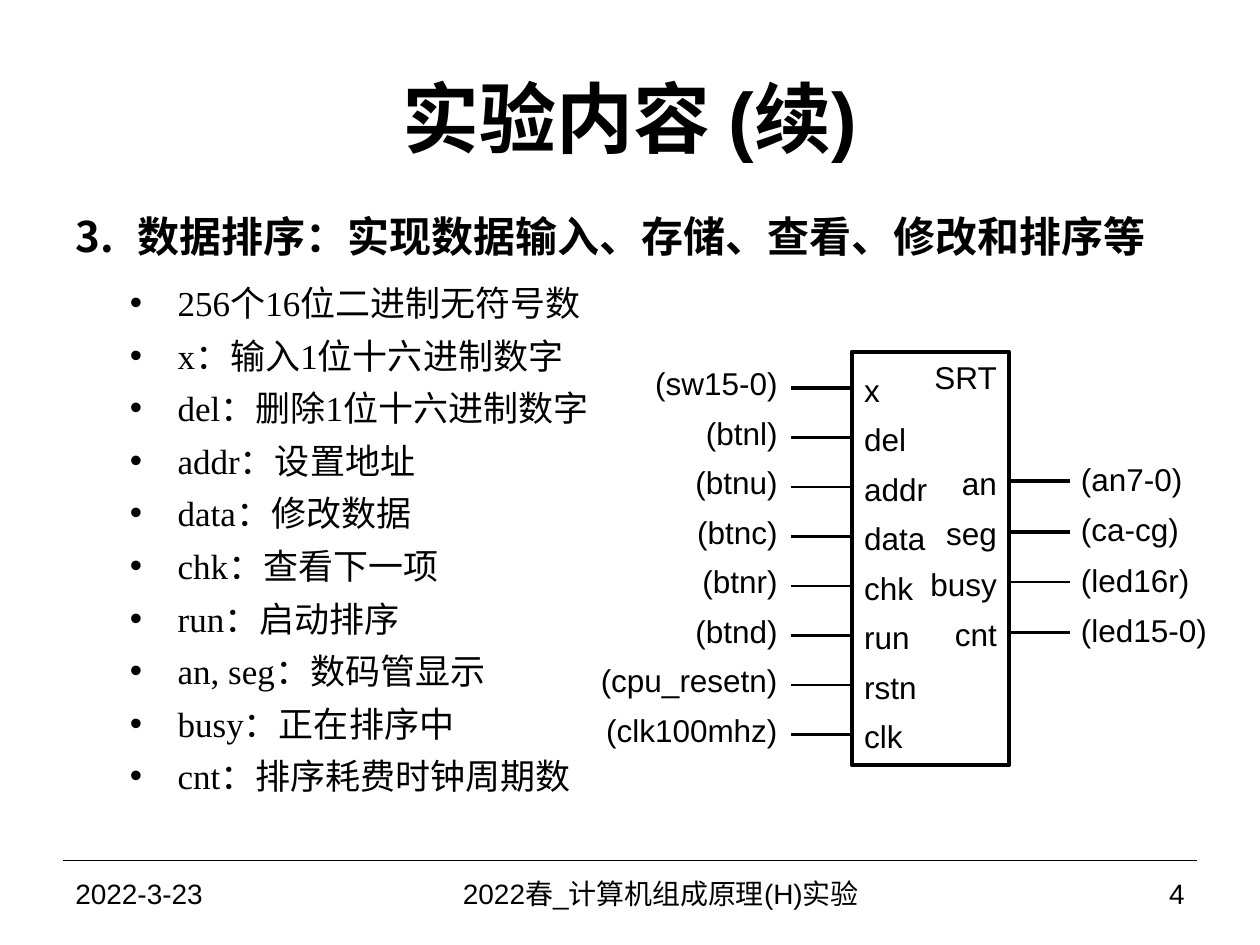
"""Slide on data sorting: a port list beside the SRT block diagram, on a 100 by 75 grid."""
from dataclasses import dataclass

from lxml import etree
from pptx import Presentation
from pptx import util as u
from pptx.dml.color import RGBColor
from pptx.enum import shapes, text
from pptx.oxml.ns import qn

COLS, ROWS = 100, 75
WIDTH, HEIGHT = u.Inches(10), u.Inches(7.5)
BLACK = "000000"
LEFT, CENTER, RIGHT = text.PP_ALIGN.LEFT, text.PP_ALIGN.CENTER, text.PP_ALIGN.RIGHT
MIDDLE, TOP = text.MSO_ANCHOR.MIDDLE, text.MSO_ANCHOR.TOP
BLOCK_LEFT, BLOCK_TOP, BLOCK_W, BLOCK_H = 67.6, 27.9, 12.5, 32.8
BLOCK_RIGHT = BLOCK_LEFT + BLOCK_W
WIRE = 4.8


@dataclass
class Pin:
    name: str
    signal: str
    name_cols: float
    signal_cols: float
    weight: float = 1.5


INPUTS = [
    Pin("x", "(sw15-0)", 3.3, 12.7, 2.25),
    Pin("del", "(btnl)", 5.4, 8.9),
    Pin("addr", "(btnu)", 7.1, 8.9),
    Pin("data", "(btnc)", 6.9, 9.1),
    Pin("chk", "(btnr)", 5.9, 9.1),
    Pin("run", "(btnd)", 5.7, 9.1),
    Pin("rstn", "(cpu_resetn)", 6.2, 17),
    Pin("clk", "(clk100mhz)", 5.1, 17),
]
OUTPUTS = [
    Pin("an", "(an7-0)", 4.8, 10.2, 2.25),
    Pin("seg", "(ca-cg)", 6.1, 9.9, 2.25),
    Pin("busy", "(led16r)", 7.3, 12),
    Pin("cnt", "(led15-0)", 5.4, 12),
]
HEADING = "数据排序：实现数据输入、存储、查看、修改和排序等"
ITEMS = [
    "256个16位二进制无符号数",
    "x：输入1位十六进制数字",
    "del：删除1位十六进制数字",
    "addr：设置地址",
    "data：修改数据",
    "chk：查看下一项",
    "run：启动排序",
    "an, seg：数码管显示",
    "busy：正在排序中",
    "cnt：排序耗费时钟周期数",
]


def rgb(value: str) -> RGBColor:
    return RGBColor.from_string(value)


def col(n: float) -> int:
    return round(WIDTH * n / COLS)


def row(n: float) -> int:
    return round(HEIGHT * n / ROWS)


def box(left: float, top: float, width: float, height: float) -> tuple:
    return col(left), row(top), col(width), row(height)


def place(sp, *cells: float) -> None:
    sp.left, sp.top, sp.width, sp.height = box(*cells)


def style(p, size: float, font: str = "Arial", bold: bool = False, align=LEFT) -> None:
    p.alignment = align
    for r in p.runs:
        r.font.size, r.font.name, r.font.bold = u.Pt(size), font, bold
        r.font.color.rgb = rgb(BLACK)


def label(s, words: str, cells: tuple, align=LEFT, size: float = 18,
          anchor=TOP, wrap: bool = True, spacing: float = 0) -> None:
    tf = s.shapes.add_textbox(*box(*cells)).text_frame
    tf.text = words
    tf.word_wrap, tf.vertical_anchor = wrap, anchor
    p = tf.paragraphs[0]
    style(p, size, align=align)
    if spacing:
        p.line_spacing = u.Pt(spacing)


def line(s, x1: float, x2: float, y: float, weight: float) -> None:
    c = s.shapes.add_connector(shapes.MSO_CONNECTOR.STRAIGHT, col(x1), row(y), col(x2), row(y))
    c.line.color.rgb = rgb(BLACK)
    c.line.width = u.Pt(weight)
    etree.SubElement(c._element.spPr, qn("a:effectLst"))


def bullet(p, tag: str, indent: float, hanging: float, **attrs: str) -> None:
    ppr = p._p.get_or_add_pPr()
    ppr.set("marL", str(col(indent)))
    ppr.set("indent", str(-col(hanging)))
    etree.SubElement(ppr, qn(tag), attrs)


def draw_input(s, pin: Pin, y: float) -> None:
    line(s, BLOCK_LEFT - WIRE, BLOCK_LEFT, y, pin.weight)
    label(s, pin.name, (BLOCK_LEFT, y - 2.9, pin.name_cols, 4.6), wrap=False, spacing=29)
    label(s, pin.signal, (62.7 - pin.signal_cols, y - 2.4, pin.signal_cols, 5), RIGHT)


def draw_output(s, pin: Pin, y: float) -> None:
    line(s, BLOCK_RIGHT, BLOCK_RIGHT + WIRE, y, pin.weight)
    label(s, pin.name, (BLOCK_RIGHT - pin.name_cols, y - 2.9, pin.name_cols, 4.6),
          RIGHT, wrap=False, spacing=29)
    label(s, pin.signal, (84.8, y - 2.2, pin.signal_cols, 5))


def draw_block(s) -> None:
    sp = s.shapes.add_shape(shapes.MSO_SHAPE.RECTANGLE,
                            *box(BLOCK_LEFT, BLOCK_TOP, BLOCK_W, BLOCK_H))
    sp.shadow.inherit = False
    sp.fill.background()
    sp.line.color.rgb = rgb(BLACK)
    sp.line.width = u.Pt(2.25)
    tf = sp.text_frame
    tf.text = "SRT"
    tf.word_wrap, tf.vertical_anchor = False, TOP
    style(tf.paragraphs[0], 18, align=RIGHT)
    for i, pin in enumerate(INPUTS):
        draw_input(s, pin, 30.8 + 3.93 * i)
    for i, pin in enumerate(OUTPUTS):
        draw_output(s, pin, 38.2 + 4 * i)


def fill_body(sp) -> None:
    place(sp, 5, 16.2, 89.1, 51.2)
    tf = sp.text_frame
    tf.text = "\n".join([HEADING, *ITEMS])
    heading, *items = tf.paragraphs
    style(heading, 24, "Times New Roman", True)
    heading.space_before = u.Pt(6)
    bullet(heading, "a:buAutoNum", 4.9, 4.9, type="arabicPeriod", startAt="3")
    for i, p in enumerate(items):
        p.level = 1
        style(p, 20, "Times New Roman")
        p.space_before = u.Pt(6 if i else 12)
        bullet(p, "a:buChar", 8.1, 3.8, char="•")


def main() -> None:
    prs = Presentation()
    prs.slide_width, prs.slide_height = WIDTH, HEIGHT
    s = prs.slides.add_slide(prs.slide_layouts[1])
    title, body = s.placeholders
    place(title, 5, 3, 90, 12.5)
    title.text_frame.text = "实验内容 (续)"
    title.text_frame.vertical_anchor = MIDDLE
    style(title.text_frame.paragraphs[0], 44, bold=True, align=CENTER)
    fill_body(body)
    line(s, 5, 95, 68.3, 0.75)
    for words, left, width, align in [
        ("2022-3-23", 5, 23.3, LEFT),
        ("2022春_计算机组成原理(H)实验", 28.3, 48.3, CENTER),
        ("4", 76.7, 18.3, RIGHT),
    ]:
        label(s, words, (left, 68.3, width, 5.2), align, 16, MIDDLE)
    draw_block(s)
    prs.save("out.pptx")


if __name__ == "__main__":
    main()
